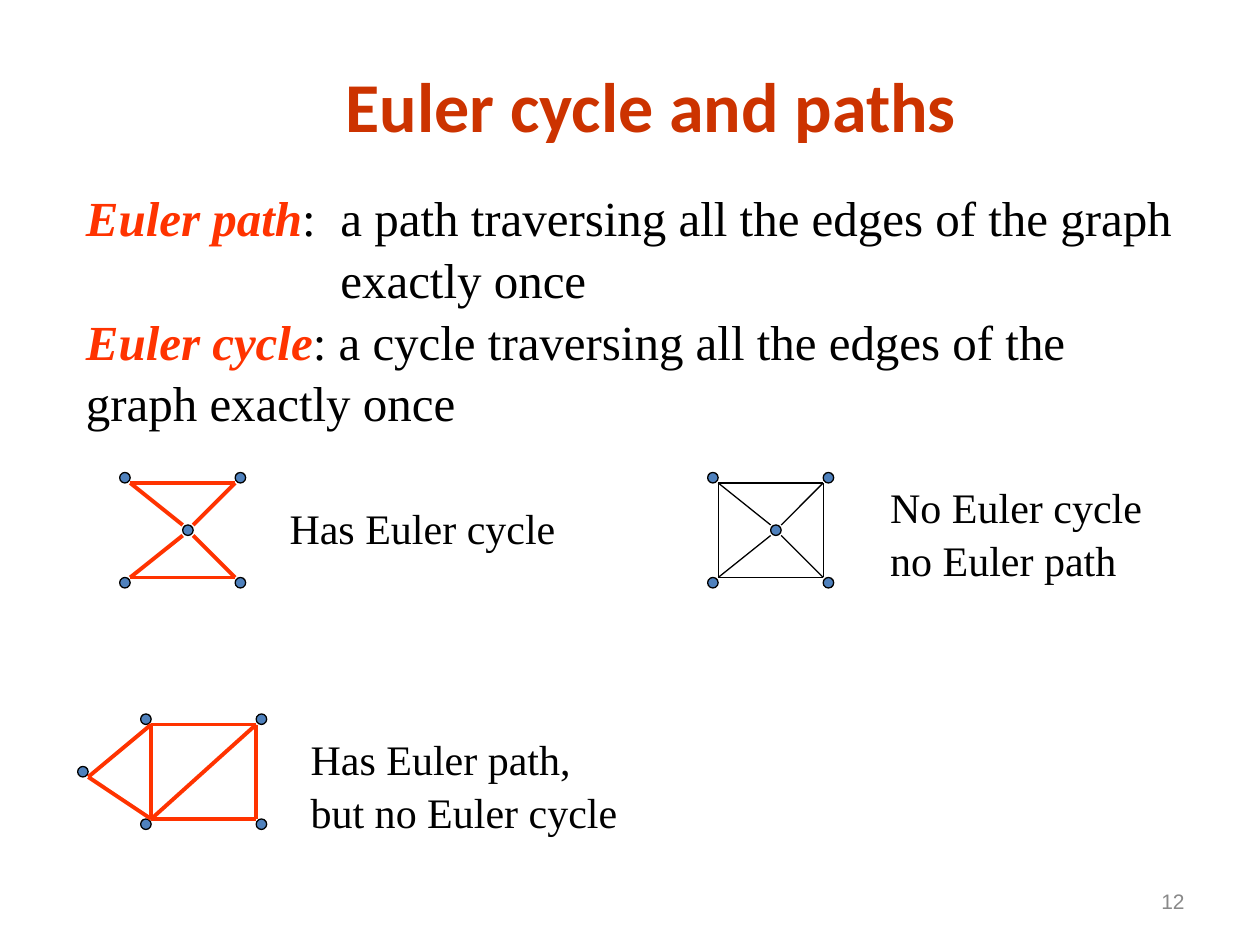
import pptx
import pptx.dml.color
import pptx.enum.shapes
import pptx.enum.text
import pptx.util
from lxml import etree

COLUMNS, ROWS = 120, 90
CELL = pptx.util.Inches(10) / COLUMNS

COLORS = {
    "title": "CC3300",
    "accent": "FF3300",
    "ink": "000000",
    "dot": "4F81BD",
    "number": "898989",
}
SERIF = "Times New Roman"
ALIGN = pptx.enum.text.PP_ALIGN
ANCHOR = pptx.enum.text.MSO_ANCHOR

SQUARE_DOTS = [(0, 0), (11, 0), (6, 5), (0, 10), (11, 10)]
# Each edge joins two points, in cells from the graph's top left corner.
HOURGLASS_EDGES = [
    ((1, 1), (11, 1)), ((1, 10), (11, 10)),
    ((1, 1), (6, 5)), ((11, 1), (7, 5)),
    ((6, 6), (1, 10)), ((7, 6), (11, 10)),
]
SIDE_EDGES = [((1, 1), (1, 10)), ((11, 1), (11, 10))]
HOUSE_DOTS = [(0, 5), (6, 0), (17, 0), (6, 10), (17, 10)]
HOUSE_EDGES = [
    ((7, 1), (17, 1)), ((7, 10), (17, 10)),
    ((7, 1), (7, 10)), ((17, 1), (17, 10)),
    ((17, 1), (7, 10)), ((7, 1), (1, 6)), ((1, 6), (7, 10)),
]


def cells(*counts):
    return [round(count * CELL) for count in counts]


def rgb(name):
    return pptx.dml.color.RGBColor.from_string(COLORS[name])


def style(span, size, color, face, bold=False, italic=False):
    font = span.font
    font.size, font.name = pptx.util.Pt(size), face
    font.bold, font.italic = bold, italic
    font.color.rgb = rgb(color)


def add_box(page, box, lines, anchor=ANCHOR.TOP):
    """Add a wrapping text box with one paragraph for each line."""
    frame = page.shapes.add_textbox(*cells(*box)).text_frame
    frame.word_wrap = True
    frame.vertical_anchor = anchor
    frame.text = "\n".join(lines)
    return frame


def add_line(page, box, text, size, color, face, align, bold=False):
    para = add_box(page, box, [text], ANCHOR.MIDDLE).paragraphs[0]
    para.alignment = align
    style(para.runs[0], size, color, face, bold)


def add_definitions(page, box):
    frame = add_box(page, box, ["Euler path", "Euler cycle"])
    frame.margin_right = pptx.util.Inches(0.05)
    meanings = [
        ":\ta path traversing all the edges of the graph exactly once",
        ": a cycle traversing all the edges of the graph exactly once",
    ]
    for para, meaning in zip(frame.paragraphs, meanings):
        para.line_spacing = 1.05
        style(para.runs[0], 28, "accent", SERIF, bold=True, italic=True)
        span = para.add_run()
        span.text = meaning
        style(span, 28, "ink", SERIF)
    hang = pptx.util.Inches(2.02)
    properties = frame.paragraphs[0]._p.get_or_add_pPr()
    properties.set("marL", str(hang))
    properties.set("indent", str(-hang))


def add_caption(page, box, lines):
    for para in add_box(page, box, lines).paragraphs:
        para.line_spacing = 1.05
        style(para.runs[0], 24, "ink", SERIF)


def add_graph(page, origin, dots, edges, color, weight):
    left, top = origin
    for column, row in dots:
        dot = page.shapes.add_shape(
            pptx.enum.shapes.MSO_SHAPE.OVAL,
            *cells(left + column, top + row, 1, 1))
        dot.shadow.inherit = False
        dot.fill.solid()
        dot.fill.fore_color.rgb = rgb("dot")
        dot.line.color.rgb = rgb("ink")
        dot.line.width = pptx.util.Pt(0.75)
    for start, end in edges:
        edge = page.shapes.add_connector(
            pptx.enum.shapes.MSO_CONNECTOR.STRAIGHT,
            *cells(left + start[0], top + start[1],
                   left + end[0], top + end[1]))
        edge.line.color.rgb = rgb(color)
        edge.line.width = pptx.util.Pt(weight)
        etree.SubElement(edge._element.spPr, pptx.oxml.ns.qn("a:effectLst"))


def main():
    deck = pptx.Presentation()
    deck.slide_width, deck.slide_height = cells(COLUMNS, ROWS)
    page = deck.slides.add_slide(deck.slide_layouts[6])

    add_line(page, (11, 5.4, 102, 9.2), "Euler cycle and paths",
             40, "title", "Calibri", ALIGN.CENTER, bold=True)
    add_definitions(page, (7, 17, 106, 29.3))

    add_graph(page, (11.4, 45), SQUARE_DOTS, HOURGLASS_EDGES, "accent", 2.25)
    add_caption(page, (26.4, 47, 30, 6), ["Has Euler cycle"])

    add_graph(page, (67.4, 45), SQUARE_DOTS, HOURGLASS_EDGES + SIDE_EDGES,
              "ink", 0.75)
    add_caption(page, (83.6, 45, 30, 10.8), ["No Euler cycle", "no Euler path"])

    add_graph(page, (7.4, 68), HOUSE_DOTS, HOUSE_EDGES, "accent", 2.25)
    add_caption(page, (28.4, 69, 34, 10.8),
                ["Has Euler path,", "but no Euler cycle"])

    add_line(page, (86, 83.4, 28, 4.8), "12",
             12, "number", "Arial", ALIGN.RIGHT)
    deck.save("out.pptx")


if __name__ == "__main__":
    main()
